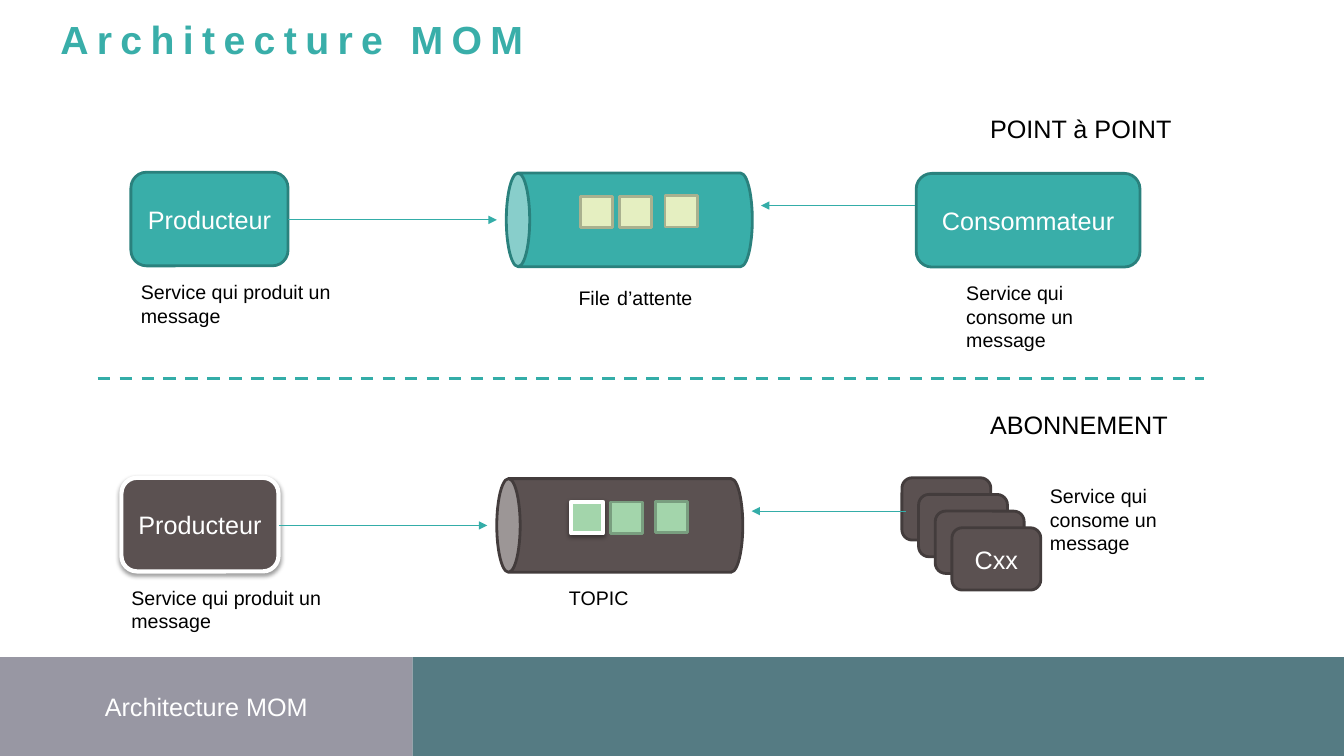
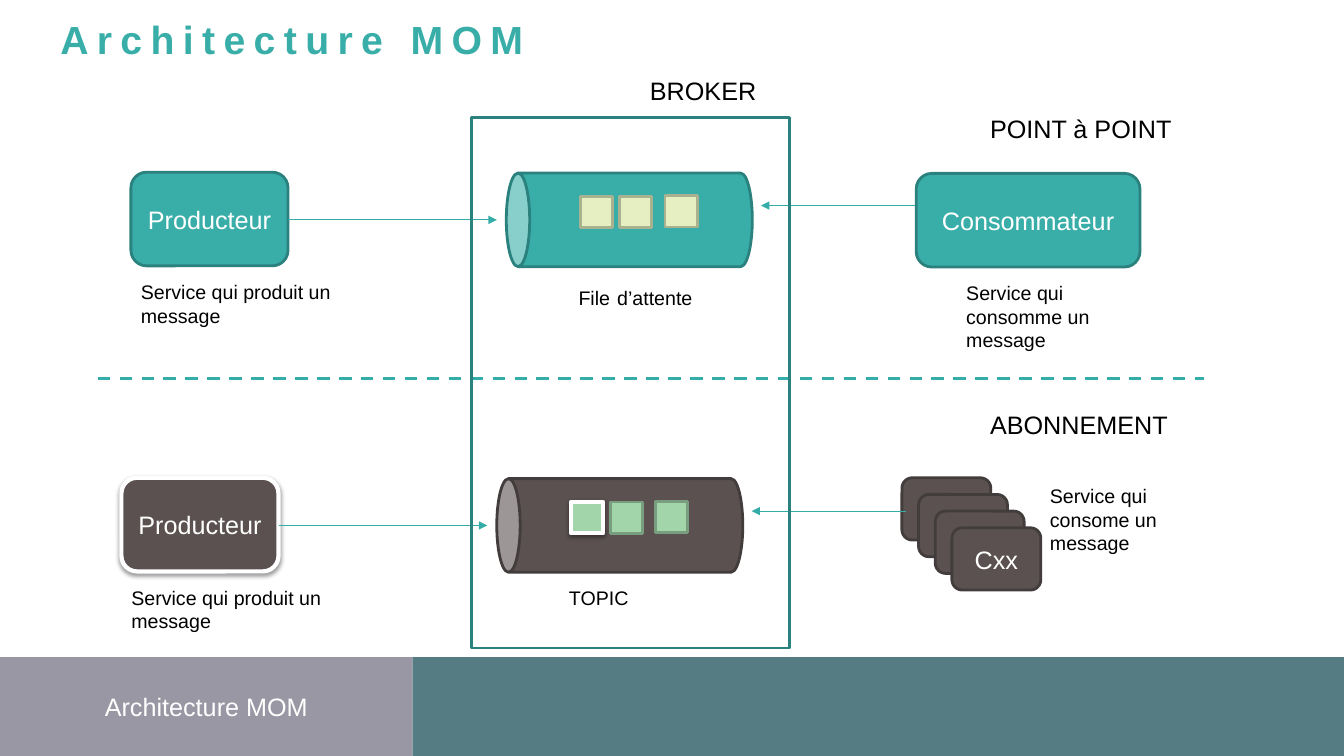
"""Build two slides on message-oriented middleware: point-to-point and subscription."""
from lxml import etree
from pptx import Presentation
from pptx import util as u
from pptx.dml.color import RGBColor
from pptx.enum import dml, shapes, text
from pptx.oxml import ns

COLORS = {
    "teal": "39AEA9", "teal_edge": "2A817D", "line": "34ADA8",
    "brown": "5B5151", "brown_edge": "433C3C",
    "cream": "E5EFC1", "cream_edge": "A9B18F",
    "green": "A3D5AB", "green_edge": "799E7F",
    "footer_left": "9897A3", "footer_right": "557B83",
    "white": "FFFFFF", "black": "000000",
}
RGB = {name: RGBColor.from_string(value) for name, value in COLORS.items()}
MSO = shapes.MSO_SHAPE
LANE_DX, LANE_DY = -0.24, 7.7
CARD_STEP = 0.42
SERVICE_OUT = "Service qui produit un message"
SERVICE_IN = "Service qui consome un message"


def add_text(s, box, runs, size=14, color="black", margins=True):
    tb = s.shapes.add_textbox(*map(u.Cm, box))
    tf = tb.text_frame
    tf.word_wrap = True
    if not margins:
        tf.margin_left = tf.margin_right = tf.margin_top = tf.margin_bottom = 0
    p = tf.paragraphs[0]
    for part, part_size in [(runs, size)] if isinstance(runs, str) else runs:
        r = p.add_run()
        r.text = part
        r.font.name = "Arial"
        r.font.size = u.Pt(part_size)
        r.font.color.rgb = RGB[color]
    return p


def add_box(s, kind, box, fill=None, edge=None, label="", raised=False):
    sp = s.shapes.add_shape(kind, *map(u.Cm, box))
    sp.shadow.inherit = False
    if fill:
        sp.fill.solid()
        sp.fill.fore_color.rgb = RGB[fill]
    else:
        sp.fill.background()
    if raised:
        edge = "white"
        effects = sp._element.spPr.find(ns.qn("a:effectLst"))
        shadow = etree.SubElement(effects, ns.qn("a:outerShdw"), blurRad="40000",
                                  dist="20000", dir="5400000", rotWithShape="0")
        clr = etree.SubElement(shadow, ns.qn("a:srgbClr"), val=COLORS["black"])
        etree.SubElement(clr, ns.qn("a:alpha"), val="38000")
    if edge:
        sp.line.color.rgb = RGB[edge]
        sp.line.width = u.Pt(3 if raised else 2)
    else:
        sp.line.fill.background()
    if label:
        tf = sp.text_frame
        tf.word_wrap = True
        tf.vertical_anchor = text.MSO_ANCHOR.MIDDLE
        p = tf.paragraphs[0]
        p.alignment = text.PP_ALIGN.CENTER
        r = p.add_run()
        r.text = label
        r.font.name = "Arial"
        r.font.size = u.Pt(18)
        r.font.color.rgb = RGB["white"]
    return sp


LANES = [
    ("teal", "teal_edge", "cream", "cream_edge", False,
     [("File", 14), (" ", 18), ("d’attente", 14)]),
    ("brown", "brown_edge", "green", "green_edge", True, "TOPIC"),
]

prs = Presentation()
prs.slide_width, prs.slide_height = u.Cm(33.87), u.Cm(19.05)

for consumer_note, has_broker in [(SERVICE_IN, False),
                                  ("Service qui consomme un message", True)]:
    s = prs.slides.add_slide(prs.slide_layouts[6])

    p = add_text(s, (1.52, 0.69, 16.41, 0.89), "Architecture MOM", 28, "teal", margins=False)
    p.line_spacing = u.Pt(25)
    p.runs[0].font.bold = True
    p.runs[0]._r.get_or_add_rPr().set("spc", "600")
    add_box(s, MSO.RECTANGLE, (0, 16.56, 10.4, 2.49), "footer_left", label="Architecture MOM")
    add_box(s, MSO.RECTANGLE, (10.4, 16.56, 23.47, 2.49), "footer_right")

    lines = [(2.46, 9.53, 30.33, False)]
    for i, (fill, edge, message, message_edge, raised, caption) in enumerate(LANES):
        dx, dy = i * LANE_DX, i * LANE_DY
        queue = add_box(s, MSO.CAN, (14.68 + dx, 2.44 + dy, 2.36, 6.2), fill, edge)
        queue.rotation = 270
        add_box(s, MSO.ROUNDED_RECTANGLE, (3.3 + dx, 4.34 + dy, 3.96, 2.36),
                fill, edge, "Producteur", raised)
        for j, (x, y) in enumerate([(14.63, 4.95), (15.62, 4.95), (16.76, 4.93)]):
            add_box(s, MSO.RECTANGLE, (x + dx, y + dy, 0.81, 0.79),
                    message, message_edge, raised=raised and j == 0)
        add_text(s, (14.33 + dx, 6.93 + dy, 4.11, 1.02), caption)
        add_text(s, (3.3 + dx, 6.93 + dy, 5.46, 1.42), SERVICE_OUT)
        lines += [(7.26 + dx, 5.54 + dy, 12.52 + dx, True),
                  (23.07 + dx, 5.18 + dy, 19.18 + dx, True)]

    add_box(s, MSO.ROUNDED_RECTANGLE, (23.09, 4.37, 5.64, 2.36),
            "teal", "teal_edge", "Consommateur")
    for i, label in enumerate(["", "", "", "Cxx"]):
        add_box(s, MSO.ROUNDED_RECTANGLE,
                (22.73 + i * CARD_STEP, 12.04 + i * CARD_STEP, 2.24, 1.57),
                "brown", "brown_edge", label)
    add_text(s, (24.1, 6.96, 4.11, 2.03), consumer_note)
    add_text(s, (26.21, 12.07, 4.11, 2.03), SERVICE_IN)
    add_text(s, (24.7, 2.74, 7.21, 1.02), "POINT à POINT", 18)
    add_text(s, (24.7, 10.19, 5.08, 1.02), "ABONNEMENT", 18)

    for x1, y, x2, is_arrow in lines:
        cn = s.shapes.add_connector(shapes.MSO_CONNECTOR.STRAIGHT,
                                    u.Cm(x1), u.Cm(y), u.Cm(x2), u.Cm(y))
        cn.line.color.rgb = RGB["line"]
        cn.line.width = u.Pt(0.75 if is_arrow else 2.25)
        if is_arrow:
            etree.SubElement(cn.line._get_or_add_ln(), ns.qn("a:tailEnd"), type="triangle")
        else:
            cn.line.dash_style = dml.MSO_LINE.DASH
        etree.SubElement(cn._element.spPr, ns.qn("a:effectLst"))

    if has_broker:
        add_box(s, MSO.RECTANGLE, (11.89, 2.97, 8, 13.36), edge="teal_edge")
        add_text(s, (16.13, 1.78, 3.61, 1.02), "BROKER", 18)

prs.save("out.pptx")
